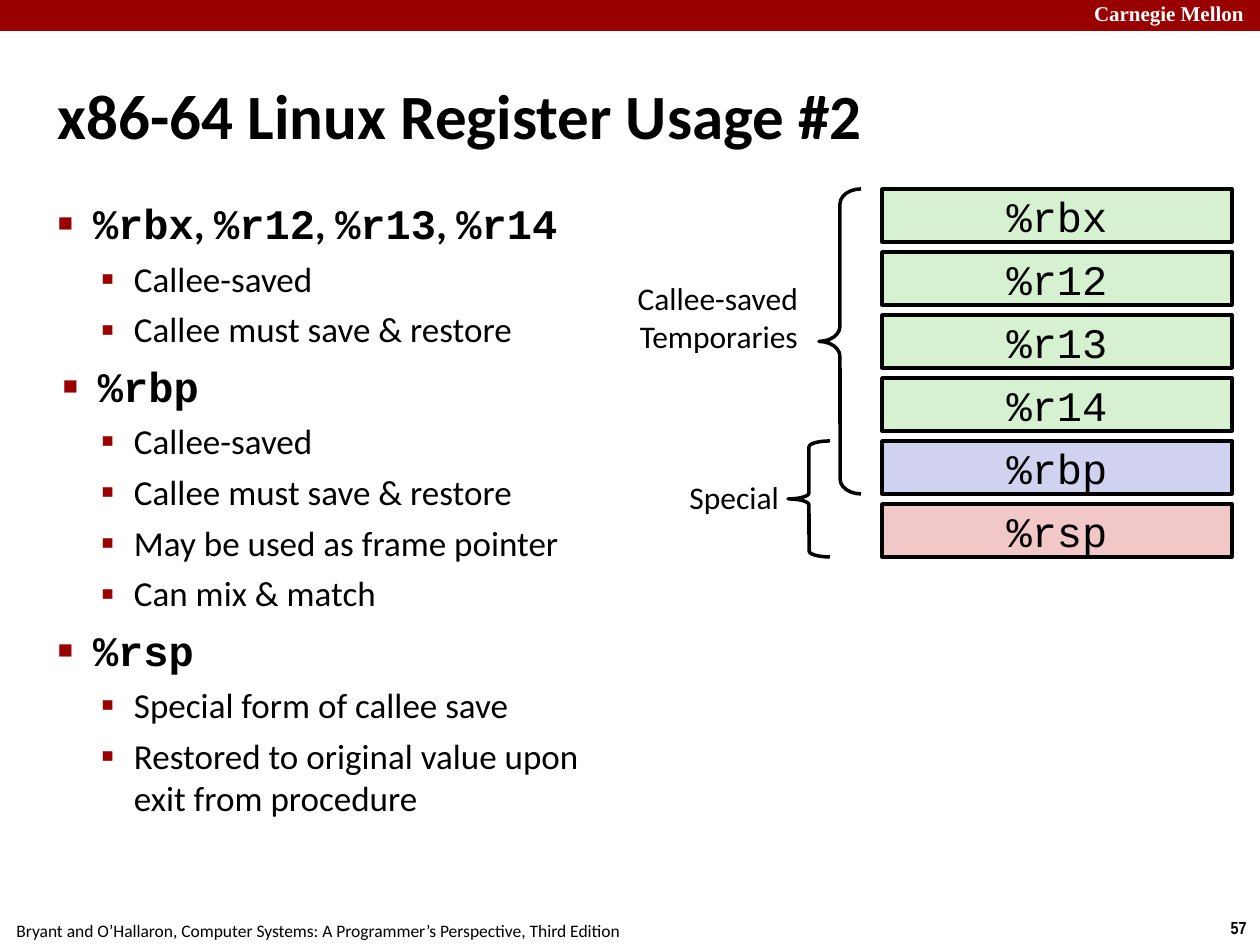
from typing import NamedTuple

from lxml import etree
from pptx import Presentation
from pptx.dml.color import RGBColor
from pptx.enum import shapes, text
from pptx.oxml.ns import qn
from pptx.util import Emu, Pt

PX = 914400 / 126
BLACK, WHITE, RED = "000000", "FFFFFF", "990000"
GREEN, BLUE, PINK = "D5F1CF", "D1D1F0", "F1C7C7"
SANS, MONO = "Calibri", "Courier New"
LEFT, CENTER, RIGHT = text.PP_ALIGN.LEFT, text.PP_ALIGN.CENTER, text.PP_ALIGN.RIGHT


class Box(NamedTuple):
    left: int
    top: int
    width: int
    height: int


class Label(NamedTuple):
    lines: list[str]
    box: Box
    size: int
    align: text.PP_ALIGN
    font: str = SANS
    color: str = BLACK
    bold: bool = False
    inset: tuple[int, int] = (5, 5)
    wrap: bool = False


class Register(NamedTuple):
    name: str
    fill: str


class Topic(NamedTuple):
    names: list[str]
    facts: list[str]
    margin: int = 35


class Bullet(NamedTuple):
    mark: str
    percent: int
    hang: int
    size: int
    before: int


TOPIC_BULLET = Bullet("■", 60, 35, 24, 6)
FACT_BULLET = Bullet("▪", 110, 33, 20, 5)

REGISTERS = [
    Register("%rbx", GREEN),
    Register("%r12", GREEN),
    Register("%r13", GREEN),
    Register("%r14", GREEN),
    Register("%rbp", BLUE),
    Register("%rsp", PINK),
]

TOPICS = [
    Topic(["%rbx", "%r12", "%r13", "%r14"],
          ["Callee-saved", "Callee must save & restore"]),
    Topic(["%rbp"],
          ["Callee-saved", "Callee must save & restore",
           "May be used as frame pointer", "Can mix & match"], 40),
    Topic(["%rsp"],
          ["Special form of callee save",
           "Restored to original value upon exit from procedure"]),
]

BRACES = [Box(819, 189, 42, 305), Box(788, 441, 42, 116)]

LABELS = [
    Label(["57"], Box(1217, 911, 43, 34), 10, CENTER, "Arial Narrow", bold=True, inset=(13, 6)),
    Label(["Bryant and O’Hallaron, Computer Systems: A Programmer’s Perspective, Third Edition"],
          Box(-2, 914, 640, 34), 10, CENTER, inset=(13, 6)),
    Label(["Carnegie Mellon"], Box(1089, -4, 181, 35), 12, LEFT,
          "Times New Roman", WHITE, True, wrap=True),
    Label(["Callee-saved", "Temporaries"], Box(630, 274, 173, 87), 18, RIGHT),
    Label(["Special"], Box(680, 473, 104, 49), 18, RIGHT),
]


def px(length: int) -> Emu:
    return Emu(round(length * PX))


def rgb(color: str) -> RGBColor:
    return RGBColor.from_string(color)


def place(box: Box) -> list[Emu]:
    return [px(length) for length in box]


def inset(frame, across: int, down: int) -> None:
    frame.margin_left = frame.margin_right = px(across)
    frame.margin_top = frame.margin_bottom = px(down)


def style(font, size: int, color: str, name: str | None = None, bold: bool = False) -> None:
    font.size, font.bold, font.color.rgb = Pt(size), bold, rgb(color)
    if name:
        font.name = name


def indent(paragraph, margin: int, hang: int) -> None:
    properties = paragraph._p.get_or_add_pPr()
    properties.set("marL", str(px(margin)))
    properties.set("indent", str(-px(hang)))


def add_bullet(paragraph, bullet: Bullet, margin: int) -> None:
    indent(paragraph, margin, bullet.hang)
    properties = paragraph._p.get_or_add_pPr()
    color = etree.SubElement(properties, qn("a:buClr"))
    etree.SubElement(color, qn("a:srgbClr"), val=RED)
    etree.SubElement(properties, qn("a:buSzPct"), val=str(bullet.percent * 1000))
    etree.SubElement(properties, qn("a:buFont"), typeface="Arial")
    etree.SubElement(properties, qn("a:buChar"), char=bullet.mark)


def add_label(slide, label: Label) -> None:
    frame = slide.shapes.add_textbox(*place(label.box)).text_frame
    frame.word_wrap = label.wrap
    inset(frame, *label.inset)
    frame.text = "\n".join(label.lines)
    for paragraph in frame.paragraphs:
        paragraph.alignment = label.align
        style(paragraph.font, label.size, label.color, label.font, label.bold)


def add_preset(slide, kind: shapes.MSO_SHAPE, box: Box, fill: str | None, line: str | None):
    preset = slide.shapes.add_shape(kind, *place(box))
    preset.shadow.inherit = False
    if fill:
        preset.fill.solid()
        preset.fill.fore_color.rgb = rgb(fill)
    else:
        preset.fill.background()
    if line:
        preset.line.color.rgb = rgb(line)
        preset.line.width = Pt(2)
    else:
        preset.line.fill.background()
    return preset


def add_register(slide, register: Register, box: Box) -> None:
    frame = add_preset(slide, shapes.MSO_SHAPE.RECTANGLE, box, register.fill, BLACK).text_frame
    inset(frame, 0, 0)
    frame.vertical_anchor = text.MSO_ANCHOR.MIDDLE
    paragraph = frame.paragraphs[0]
    paragraph.text = register.name
    paragraph.alignment = CENTER
    style(paragraph.font, 24, BLACK, MONO)


def add_brace(slide, box: Box) -> None:
    brace = add_preset(slide, shapes.MSO_SHAPE.LEFT_BRACE, box, None, BLACK)
    brace.adjustments[0] = round(0.05 * box.height / box.width, 2)


def add_topics(slide, box: Box) -> None:
    frame = slide.shapes.add_textbox(*place(box)).text_frame
    frame.word_wrap = True
    inset(frame, 5, 5)
    for number, topic in enumerate(TOPICS):
        heading = frame.add_paragraph() if number else frame.paragraphs[0]
        add_bullet(heading, TOPIC_BULLET, topic.margin)
        if number:
            heading.space_before = Pt(TOPIC_BULLET.before)
        style(heading.font, TOPIC_BULLET.size, BLACK, bold=True)
        for position, name in enumerate(topic.names):
            parts = [(", ", SANS), (name, MONO)] if position else [(name, MONO)]
            for words, font in parts:
                run = heading.add_run()
                run.text, run.font.name = words, font
        for words in topic.facts:
            fact = frame.add_paragraph()
            fact.text, fact.level = words, 1
            add_bullet(fact, FACT_BULLET, 76)
            fact.space_before = Pt(FACT_BULLET.before)
            style(fact.font, FACT_BULLET.size, BLACK, SANS)


def set_title(slide, words: str, box: Box) -> None:
    title = slide.shapes.title
    title.left, title.top, title.width, title.height = place(box)
    frame = title.text_frame
    frame.text = words
    frame.auto_size = text.MSO_AUTO_SIZE.NONE
    frame.vertical_anchor = text.MSO_ANCHOR.MIDDLE
    inset(frame, 5, 5)
    paragraph = frame.paragraphs[0]
    paragraph.alignment = LEFT
    indent(paragraph, 16, 16)
    style(paragraph.font, 36, BLACK, SANS, True)


def main() -> None:
    deck = Presentation()
    deck.slide_width, deck.slide_height = px(1260), px(945)
    slide = deck.slides.add_slide(deck.slide_layouts[5])
    set_title(slide, "x86-64 Linux Register Usage #2", Box(53, 35, 829, 158))
    add_preset(slide, shapes.MSO_SHAPE.RECTANGLE, Box(0, 0, 1260, 31), RED, None)
    add_topics(slide, Box(53, 193, 559, 606))
    for row, register in enumerate(REGISTERS):
        add_register(slide, register, Box(882, 189 + 63 * row, 350, 53))
    for box in BRACES:
        add_brace(slide, box)
    for label in LABELS:
        add_label(slide, label)
    deck.save("out.pptx")


if __name__ == "__main__":
    main()
